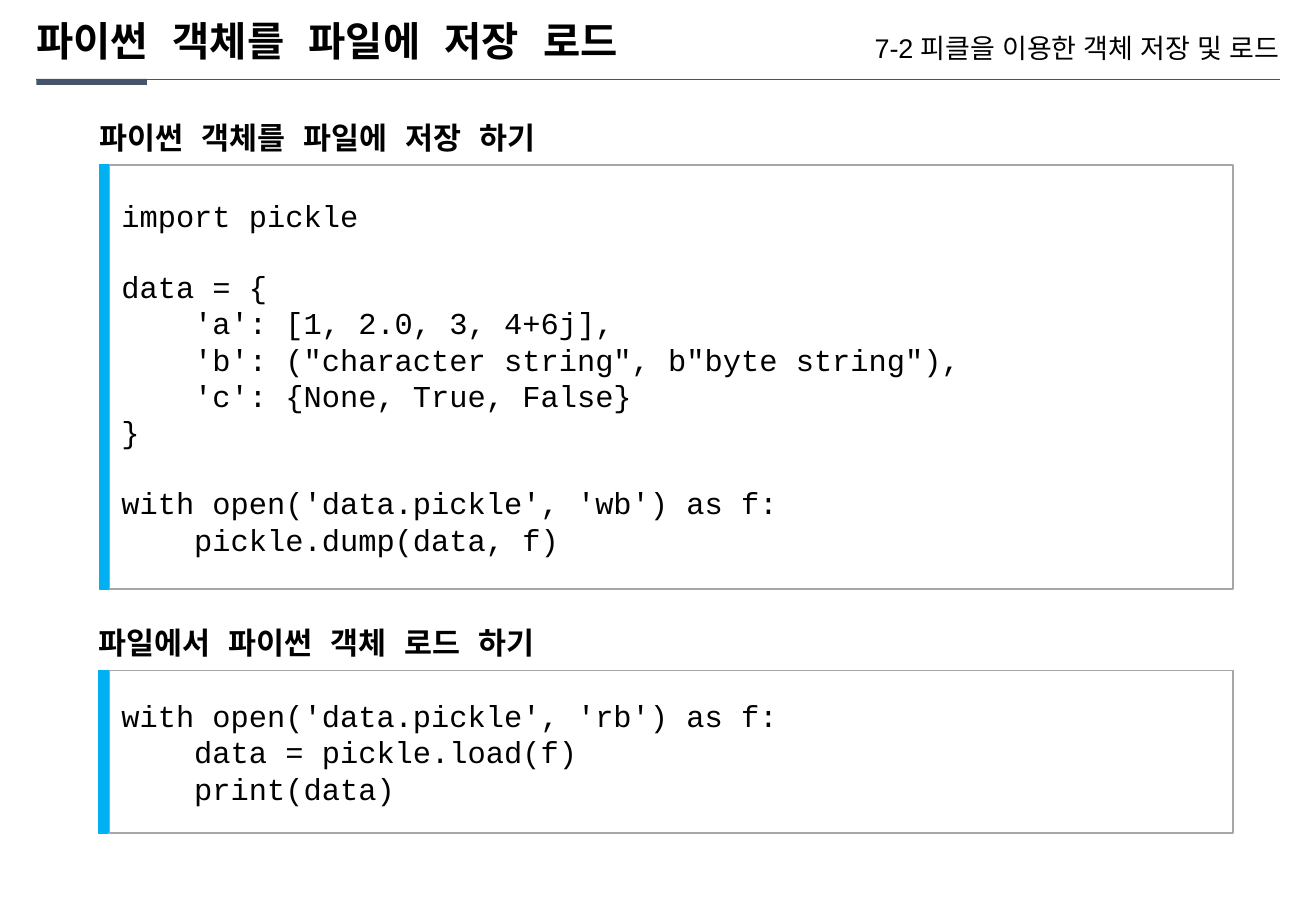
import pptx
import pptx.util
import pptx.dml.color
import pptx.enum.shapes
import pptx.enum.text
from lxml import etree

WIDTH, HEIGHT = 10.83, 7.5
TITLE = "파이썬 객체를 파일에 저장 로드"
CHAPTER = "7-2 피클을 이용한 객체 저장 및 로드"
SAVE_CODE = """import pickle

data = {
    'a': [1, 2.0, 3, 4+6j],
    'b': ("character string", b"byte string"),
    'c': {None, True, False}
}

with open('data.pickle', 'wb') as f:
    pickle.dump(data, f)"""
LOAD_CODE = """with open('data.pickle', 'rb') as f:
    data = pickle.load(f)
    print(data)"""
SECTIONS = [
    ("파이썬 객체를 파일에 저장 하기", SAVE_CODE, 0.82, 1.36, 3.49),
    ("파일에서 파이썬 객체 로드 하기", LOAD_CODE, 0.81, 5.52, 1.34),
]
MARGIN, RULE_Y = 0.3, 0.65
BAR_WIDTH, CODE_LEFT, CODE_WIDTH = 0.08, 0.9, 9.25
HEADING_RISE, HEADING_INSET = 0.43, 0.1
CODE_SIZE, CODE_LINE = 18, 20.4
NAVY, SKY, GREY, WHITE, BLACK = "44546A", "00B0F0", "A6A6A6", "FFFFFF", "000000"

inch, points = pptx.util.Inches, pptx.util.Pt
LEFT, RIGHT = pptx.enum.text.PP_ALIGN.LEFT, pptx.enum.text.PP_ALIGN.RIGHT


def colour(value):
    return pptx.dml.color.RGBColor.from_string(value)


def style(paragraph, size, font="Courier New", bold=False, align=LEFT):
    paragraph.alignment = align
    for run in paragraph.runs:
        run.font.size = points(size)
        run.font.bold = bold
        run.font.color.rgb = colour(BLACK)
        run.font.name = font
        properties = run.font._element
        east_asian = etree.SubElement(properties, pptx.oxml.ns.qn("a:ea"))
        east_asian.set("typeface", font)


def add_box(left, top, width, height, fill, line=None):
    box = slide.shapes.add_shape(
        pptx.enum.shapes.MSO_SHAPE.RECTANGLE,
        inch(left), inch(top), inch(width), inch(height))
    box.shadow.inherit = False
    box.fill.solid()
    box.fill.fore_color.rgb = colour(fill)
    if line:
        box.line.color.rgb = colour(line)
        box.line.width = points(1)
    else:
        box.line.fill.background()
    return box


def add_label(text, left, top, width, height, size, inset=None, spacing=None, **look):
    frame = slide.shapes.add_textbox(
        inch(left), inch(top), inch(width), inch(height)).text_frame
    frame.word_wrap = True
    if inset is not None:
        frame.margin_left = frame.margin_right = inch(inset)
        frame.margin_top = frame.margin_bottom = inch(inset)
    frame.text = text
    paragraph = frame.paragraphs[0]
    paragraph.line_spacing = spacing
    style(paragraph, size, **look)


def add_code(frame, code):
    frame.word_wrap = True
    frame.vertical_anchor = pptx.enum.text.MSO_ANCHOR.MIDDLE
    blocks = code.split("\n\n")
    frame.text = "\n".join(blocks)
    block_starts, position = set(), 0
    for block in blocks:
        block_starts.add(position)
        position += len(block.split("\n"))
    for index, paragraph in enumerate(frame.paragraphs):
        if index and index in block_starts:
            paragraph.space_before = points(CODE_LINE)
        style(paragraph, CODE_SIZE)


deck = pptx.Presentation()
deck.slide_width, deck.slide_height = inch(WIDTH), inch(HEIGHT)
slide = deck.slides.add_slide(deck.slide_layouts[6])

rule = slide.shapes.add_connector(
    pptx.enum.shapes.MSO_CONNECTOR.STRAIGHT,
    inch(MARGIN), inch(RULE_Y), inch(WIDTH - MARGIN), inch(RULE_Y))
rule.line.color.rgb = colour(NAVY)
rule.line.width = points(0.25)
etree.SubElement(rule._element.spPr, pptx.oxml.ns.qn("a:effectLst"))
add_box(MARGIN, RULE_Y, 0.91, 0.05, NAVY)

add_label(TITLE, MARGIN, 0.18, 6.13, 0.36, 24, inset=0, spacing=0.9, bold=True)
add_label(CHAPTER, 6.4, 0.29, 4.13, 0.48, 16, inset=0, spacing=0.9,
          font="Arial", align=RIGHT)

for heading, code, left, top, height in SECTIONS:
    add_box(left, top, BAR_WIDTH, height, SKY, SKY)
    panel = add_box(CODE_LEFT, top, CODE_WIDTH, height, WHITE, GREY)
    add_code(panel.text_frame, code)
    add_label(heading, left - HEADING_INSET, top - HEADING_RISE, 8.86, 0.4,
              CODE_SIZE, bold=True)

deck.save("out.pptx")
